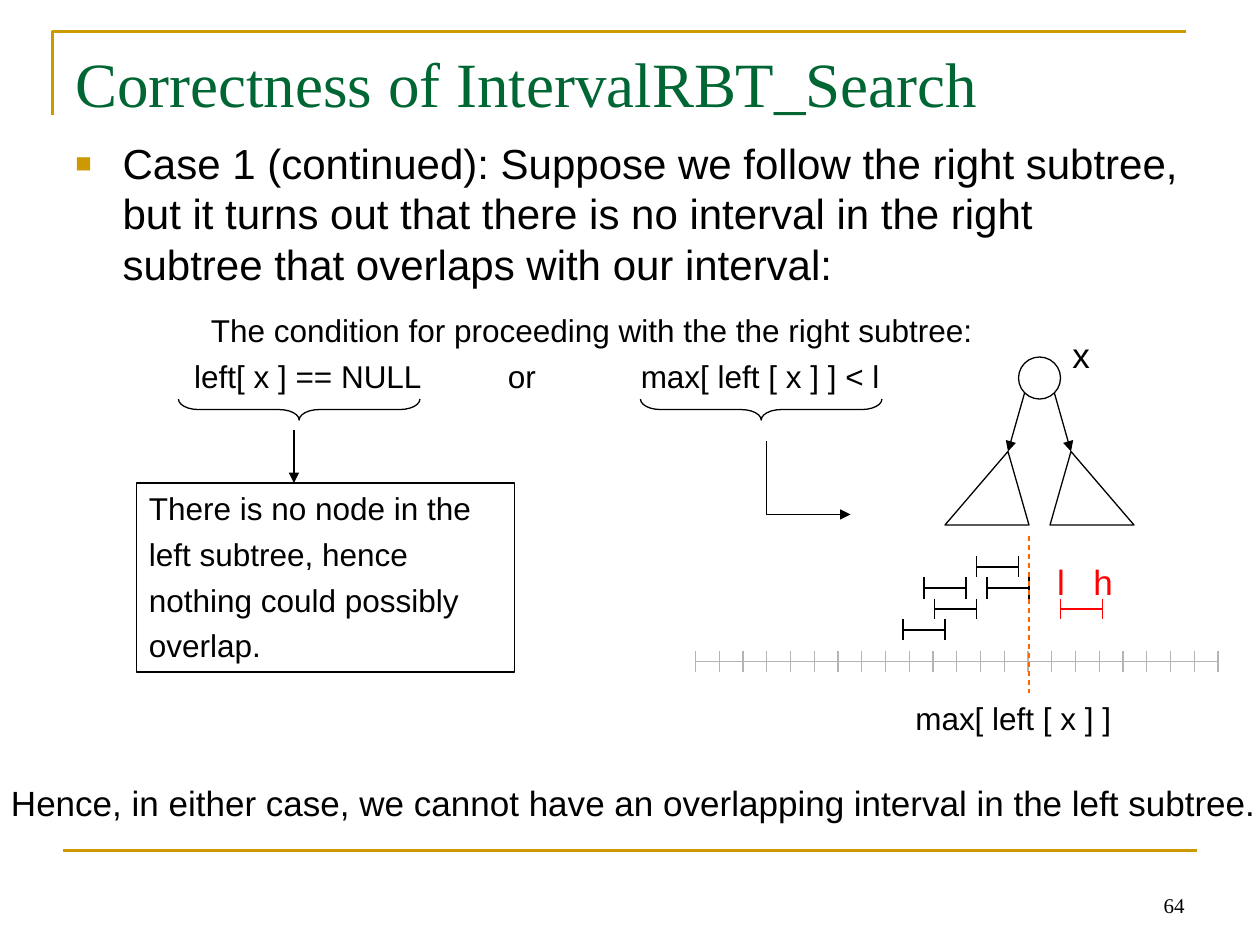
from dataclasses import dataclass

from lxml.etree import SubElement
from pptx import Presentation
from pptx.dml.color import RGBColor
from pptx.enum.dml import MSO_LINE
from pptx.enum.shapes import MSO_CONNECTOR, MSO_SHAPE
from pptx.enum.text import MSO_ANCHOR, MSO_AUTO_SIZE, PP_ALIGN
from pptx.oxml.ns import qn
from pptx.util import Pt

BLACK, WHITE, GOLD, GREEN = "000000", "FFFFFF", "CC9900", "006633"
GRAY, RED, ORANGE = "B4B4B4", "FF0101", "FF6600"
SANS, SERIF = "Arial", "Times New Roman"
LEFT, MID, RIGHT = PP_ALIGN.LEFT, PP_ALIGN.CENTER, PP_ALIGN.RIGHT
TICK = 6


@dataclass
class Label:
    text: str
    box: tuple
    size: float = 18
    hue: str = BLACK
    font: str = SANS
    align: PP_ALIGN = LEFT
    wrap: bool = True
    low: bool = False


@dataclass
class Span:
    left: float
    y: float
    hue: str = BLACK
    width: float = 24
    gaps: int = 1


LABELS = [
    Label("64", (516, 492, 168, 36), 12, font=SERIF, align=RIGHT, low=True),
    Label("Correctness of IntervalRBT_Search", (36, 21.6, 648, 90), 36, GREEN, SERIF),
    Label("The condition for proceeding with the the right subtree:",
          (113.4, 174, 480, 30)),
    Label("left[ x ] == NULL", (103.9, 200.4, 160, 30)),
    Label("or", (283.1, 200.4, 40, 30)),
    Label("max[ left [ x ] ] < l", (359.1, 200.4, 180, 30)),
    Label("x", (605.5, 187.2, 24.5, 31.7), 20, align=MID, wrap=False),
    Label("max[ left [ x ] ]", (516, 396, 138, 30)),
    Label("l", (597, 316.8, 18.7, 31.7), 20, RED, align=MID, wrap=False),
    Label("h", (617.8, 316.8, 25.2, 31.7), 20, RED, align=MID, wrap=False),
    Label("Hence, in either case, we cannot have an overlapping interval"
          " in the left subtree.", (-0.7, 442.8, 725.8, 31.7), 20,
          align=MID, wrap=False),
]
BODY = Label("Case 1 (continued): Suppose we follow the right subtree, but it "
             "turns out that there is no interval in the right subtree that "
             "overlaps with our interval:", (36, 75, 648, 356), 24)
NOTE = Label("There is no node in the\nleft subtree, hence\n"
             "nothing could possibly\noverlap.", (78, 276, 216, 108))
SPANS = [
    Span(397.5, 378, GRAY, 298.5, 22),
    Span(558, 324), Span(564, 336), Span(534, 348), Span(516, 360),
    Span(528, 336), Span(606, 348, RED),
]


def color(code: str) -> RGBColor:
    return RGBColor.from_string(code)


def stroke(shape, hue: str, width: float = 0.75, arrow: bool = False) -> None:
    shape.line.color.rgb = color(hue)
    shape.line.width = Pt(width)
    if arrow:
        SubElement(shape.line._get_or_add_ln(), qn("a:tailEnd"), type="triangle")


def draw_line(shapes, start: tuple, end: tuple, hue: str = BLACK,
              width: float = 0.75, arrow: bool = False):
    line = shapes.add_connector(MSO_CONNECTOR.STRAIGHT,
                                *(Pt(v) for v in start + end))
    stroke(line, hue, width, arrow)
    SubElement(line._element.spPr, qn("a:effectLst"))
    return line


def draw_path(shapes, points: list, hue: str = BLACK, width: float = 0.75,
              close: bool = False, arrow: bool = False) -> None:
    pen = shapes.build_freeform(*points[0], scale=Pt(1))
    pen.add_line_segments(points[1:], close=close)
    shape = pen.convert_to_shape()
    shape.fill.background()
    shape.shadow.inherit = False
    stroke(shape, hue, width, arrow)


def draw_shape(shapes, kind: MSO_SHAPE, box: tuple):
    shape = shapes.add_shape(kind, *(Pt(v) for v in box))
    shape.fill.background()
    shape.shadow.inherit = False
    stroke(shape, BLACK)
    return shape


def draw_span(shapes, span: Span) -> None:
    """Draw a level line with evenly spaced upright ticks."""
    group = shapes.add_group_shape().shapes
    draw_line(group, (span.left, span.y), (span.left + span.width, span.y), span.hue)
    for i in range(span.gaps + 1):
        x = span.left + i * span.width / span.gaps
        draw_line(group, (x, span.y - TICK), (x, span.y + TICK), span.hue)


def write(shape, label: Label) -> list:
    """Fill a shape with the label and return its paragraphs."""
    frame = shape.text_frame
    frame.text = label.text
    frame.word_wrap = label.wrap
    frame.vertical_anchor = MSO_ANCHOR.BOTTOM if label.low else MSO_ANCHOR.TOP
    if not label.wrap:
        frame.auto_size = MSO_AUTO_SIZE.SHAPE_TO_FIT_TEXT
        frame.margin_left = frame.margin_right = Pt(0)
    for i, para in enumerate(frame.paragraphs):
        para.alignment = label.align
        if i:
            para.space_before = Pt(4.5)
        for run in para.runs:
            run.font.name = label.font
            run.font.size = Pt(label.size)
            run.font.color.rgb = color(label.hue)
    return list(frame.paragraphs)


def add_text(shapes, label: Label) -> list:
    return write(shapes.add_textbox(*(Pt(v) for v in label.box)), label)


def add_body(shapes) -> None:
    props = add_text(shapes, BODY)[0]._p.get_or_add_pPr()
    props.set("marL", str(Pt(27)))
    props.set("indent", str(Pt(-27)))
    hue = SubElement(props, qn("a:buClr"))
    SubElement(hue, qn("a:srgbClr"), val=GOLD)
    SubElement(props, qn("a:buSzPct"), val="65000")
    SubElement(props, qn("a:buFont"), typeface=SANS)
    SubElement(props, qn("a:buChar"), char="■")


def add_brace(shapes, left: float, top: float) -> None:
    """Draw a wide brace that points down."""
    long, deep = 138, 12
    box = (left + (long - deep) / 2, top - (long - deep) / 2, deep, long)
    brace = draw_shape(shapes, MSO_SHAPE.LEFT_BRACE, box)
    brace.adjustments[0] = 0.96
    brace.rotation = 270


def add_tree(shapes) -> None:
    root = draw_shape(shapes, MSO_SHAPE.OVAL, (582, 204, 24, 24))
    root.fill.solid()
    root.fill.fore_color.rgb = color(WHITE)
    mid = 594
    for side in (-1, 1):
        tip = (mid + side * 18, 258)
        draw_path(shapes, [tip, (mid + side * 54, 300), (mid + side * 6, 300)],
                  close=True)
        draw_line(shapes, (mid + side * 8.5, 224.5), tip, arrow=True)


def main() -> None:
    deck = Presentation()
    deck.slide_width, deck.slide_height = Pt(720), Pt(540)
    shapes = deck.slides.add_slide(deck.slide_layouts[6]).shapes

    draw_path(shapes, [(30, 66), (30, 18), (678, 18)], GOLD, 1.5)
    draw_line(shapes, (36, 486), (684, 486), GOLD, 1.5)
    add_body(shapes)
    for left in (102, 366):
        add_brace(shapes, left, 228)
    write(draw_shape(shapes, MSO_SHAPE.RECTANGLE, NOTE.box), NOTE)
    draw_line(shapes, (168, 246), (168, 276), arrow=True)
    draw_path(shapes, [(438, 252), (438, 294), (486, 294)], arrow=True)
    add_tree(shapes)
    for span in SPANS:
        draw_span(shapes, span)
    bound = draw_line(shapes, (588, 306), (588, 396), ORANGE)
    bound.line.dash_style = MSO_LINE.DASH
    for label in LABELS:
        add_text(shapes, label)
    deck.save("out.pptx")


if __name__ == "__main__":
    main()
